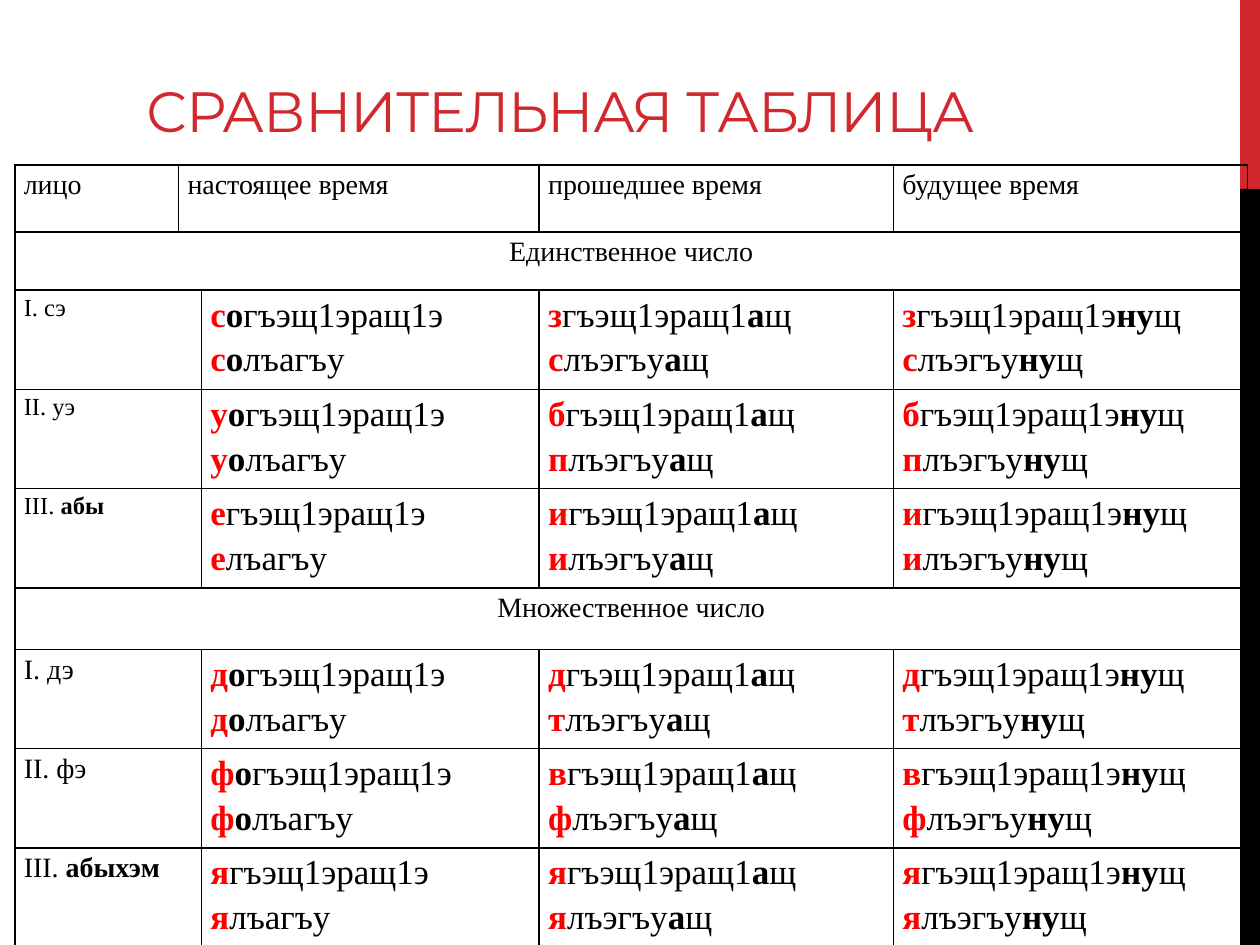
from lxml.etree import SubElement
from pptx import Presentation
from pptx.dml.color import RGBColor
from pptx.enum.shapes import MSO_SHAPE as Shape
from pptx.enum.text import MSO_ANCHOR as Anchor, PP_ALIGN as Align
from pptx.oxml.ns import qn
from pptx.util import Cm, Pt

RED, BLACK, MARKER_RED = "D1282E", "000000", "FF0000"
TABLE_FONT = "Times New Roman"
COLUMN_WIDTHS = [3.3, 0.38, 6.81, 7.14, 7.14]
HEADER_HEIGHT, PERSON_HEIGHT = 1.35, 2.0

# Each person: number, pronoun, pronoun is bold, present marker, present vowel,
# then the markers of the two verbs in the past and future
SECTIONS = [
    ("Единственное число", 1.17, 14, [
        ("I. ", "сэ", False, "с", "о", "зс"),
        ("II. ", "уэ", False, "у", "о", "бп"),
        ("III. ", "абы", True, "е", "", "ии"),
    ]),
    ("Множественное число", 1.24, 16, [
        ("I. ", "дэ", False, "д", "о", "дт"),
        ("II. ", "фэ", False, "ф", "о", "вф"),
        ("III. ", "абыхэм", True, "я", "", "яя"),
    ]),
]


def color(value):
    return RGBColor.from_string(value)


def add_bar(slide, top, height, fill):
    bar = slide.shapes.add_shape(Shape.RECTANGLE, Cm(25), Cm(top), Cm(0.4), Cm(height))
    bar.shadow.inherit = False
    bar.fill.solid()
    bar.fill.fore_color.rgb = color(fill)
    bar.line.fill.background()


def format_title(title, text):
    title.left, title.top, title.width, title.height = Cm(2.7), Cm(0.53), Cm(19.6), Cm(2.5)
    frame = title.text_frame
    frame.text = text
    frame.word_wrap = True
    frame.vertical_anchor = Anchor.BOTTOM
    paragraph = frame.paragraphs[0]
    paragraph.alignment = Align.LEFT
    run = paragraph.runs[0]
    run.font.name = "Montserrat"
    run.font.size = Pt(32.4)
    run.font.color.rgb = color(RED)
    run.font._element.set("spc", "-60")


def format_cell(cell):
    """Thin black borders, no fill and tight margins."""
    properties = cell._tc.get_or_add_tcPr()
    for side in ("lnL", "lnR", "lnT", "lnB"):
        line = SubElement(properties, qn(f"a:{side}"), w=str(Pt(1)))
        fill = SubElement(line, qn("a:solidFill"))
        SubElement(fill, qn("a:srgbClr"), val=BLACK)
    cell.fill.background()
    cell.margin_left = cell.margin_right = Cm(0.18)
    cell.margin_top = cell.margin_bottom = 0


def write_cell(cell, lines, size, alignment=Align.JUSTIFY):
    """Each line is a list of (text, bold, colour) parts."""
    frame = cell.text_frame
    for index, parts in enumerate(lines):
        paragraph = frame.add_paragraph() if index else frame.paragraphs[0]
        paragraph.alignment = alignment
        paragraph.line_spacing = 1.15
        for text, bold, text_color in parts:
            run = paragraph.add_run()
            run.text = text
            run.font.name = TABLE_FONT
            run.font.size = Pt(size)
            run.font.bold = bold
            run.font.color.rgb = color(text_color)


def plain(text):
    return [[(text, False, BLACK)]]


def verb(marker, *parts):
    """Red marker, then (text, bold) parts in black; empty parts are left out."""
    return [(marker, True, MARKER_RED)] + [(text, bold, BLACK) for text, bold in parts if text]


def present_forms(marker, vowel):
    return [verb(marker, (vowel, True), (stem, False)) for stem in ("гъэщ1эращ1э", "лъагъу")]


def tense_forms(markers, stems, suffix):
    return [verb(marker, (stem, False), (suffix, True), ("щ", False))
            for marker, stem in zip(markers, stems)]


def fill_header(table):
    table.cell(0, 1).merge(table.cell(0, 2))
    headings = {0: "лицо", 1: "настоящее время", 3: "прошедшее время", 4: "будущее время"}
    for column, heading in headings.items():
        write_cell(table.cell(0, column), plain(heading), 16)


def fill_section(table, row, heading, size, persons):
    table.cell(row, 0).merge(table.cell(row, 4))
    write_cell(table.cell(row, 0), plain(heading), 16, Align.CENTER)
    for row, person in enumerate(persons, row + 1):
        number, pronoun, bold, marker, vowel, markers = person
        table.cell(row, 0).merge(table.cell(row, 1))
        label = [(number, False, BLACK), (pronoun, bold, BLACK)]
        write_cell(table.cell(row, 0), [label], size)
        write_cell(table.cell(row, 2), present_forms(marker, vowel), 20)
        past = tense_forms(markers, ("гъэщ1эращ1", "лъэгъу"), "а")
        write_cell(table.cell(row, 3), past, 20)
        future = tense_forms(markers, ("гъэщ1эращ1э", "лъэгъу"), "ну")
        write_cell(table.cell(row, 4), future, 20)


def add_tense_table(slide):
    heights = [HEADER_HEIGHT]
    for _, heading_height, _, persons in SECTIONS:
        heights += [heading_height] + [PERSON_HEIGHT] * len(persons)
    table = slide.shapes.add_table(len(heights), len(COLUMN_WIDTHS), Cm(0.3), Cm(3.33),
                                   Cm(sum(COLUMN_WIDTHS)), Cm(sum(heights))).table
    for column, width in zip(table.columns, COLUMN_WIDTHS):
        column.width = Cm(width)
    for row, height in zip(table.rows, heights):
        row.height = Cm(height)
    table.first_row = table.horz_banding = False
    for cell in table.iter_cells():
        format_cell(cell)

    fill_header(table)
    row = 1
    for heading, _, size, persons in SECTIONS:
        fill_section(table, row, heading, size, persons)
        row += 1 + len(persons)


def main():
    presentation = Presentation()
    presentation.slide_width, presentation.slide_height = Cm(25.4), Cm(19.05)
    slide = presentation.slides.add_slide(presentation.slide_layouts[5])

    # Side bars
    add_bar(slide, 0, 3.81, RED)
    add_bar(slide, 3.81, 15.24, BLACK)

    # Title and table
    format_title(slide.shapes.title, "СРАВНИТЕЛЬНАЯ ТАБЛИЦА")
    add_tense_table(slide)
    presentation.save("out.pptx")


if __name__ == "__main__":
    main()
